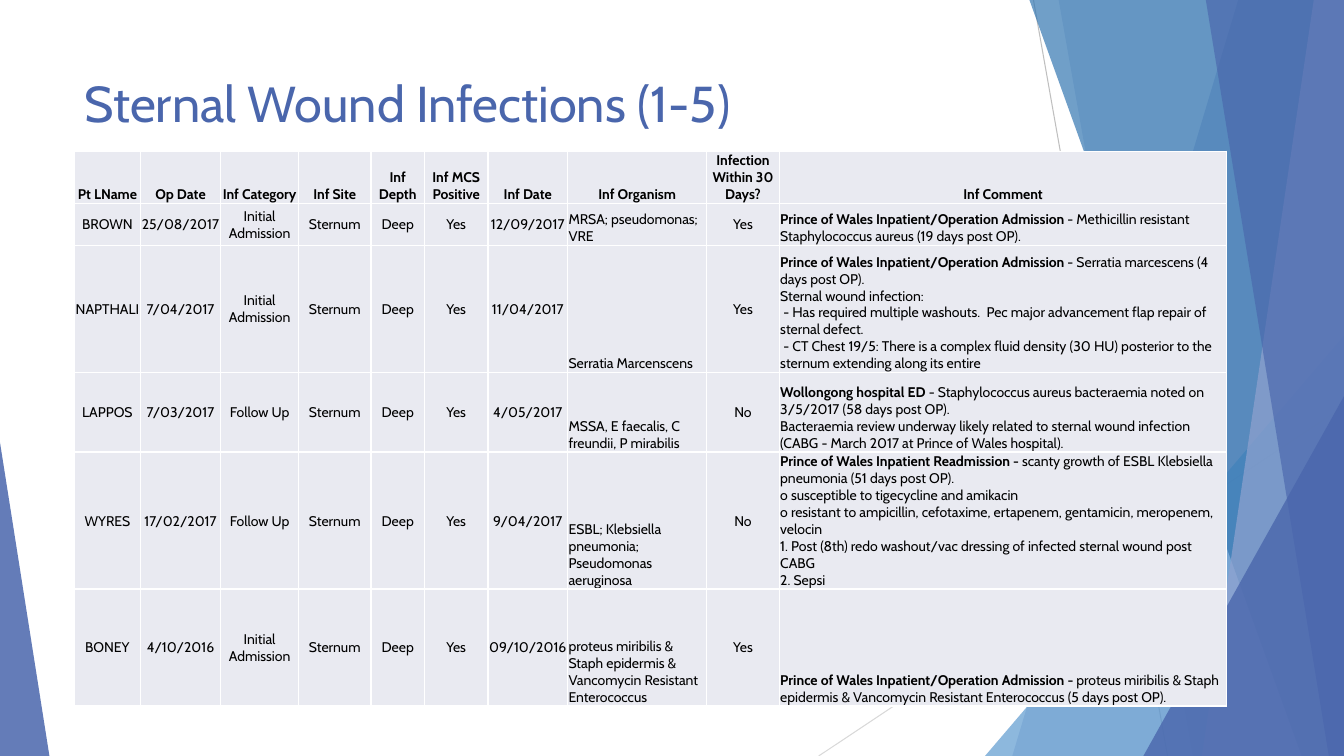
from dataclasses import dataclass

from lxml import etree
from pptx import Presentation
from pptx.dml.color import RGBColor
from pptx.enum.shapes import MSO_CONNECTOR, MSO_SHAPE
from pptx.enum.text import MSO_ANCHOR, MSO_AUTO_SIZE, PP_ALIGN
from pptx.oxml.ns import qn
from pptx.util import Inches, Pt

STRAIGHT = MSO_CONNECTOR.STRAIGHT
TRIANGLE = MSO_SHAPE.ISOSCELES_TRIANGLE
TOP, MIDDLE, BOTTOM = MSO_ANCHOR.TOP, MSO_ANCHOR.MIDDLE, MSO_ANCHOR.BOTTOM
LEFT, CENTER = PP_ALIGN.LEFT, PP_ALIGN.CENTER
NO_AUTOFIT = MSO_AUTO_SIZE.NONE
WIDTH, HEIGHT = 13.33, 7.5


@dataclass(frozen=True)
class Theme:
    font: str = "Cabin"
    title_size: float = 36
    table_size: float = 10
    hairline: float = 0.75
    border: float = 1
    indigo: str = "4A66AC"
    sky: str = "629DD1"
    ocean: str = "3477B2"
    lavender: str = "90A2CF"
    grey: str = "BFBFBF"
    pale_grey: str = "D9D9D9"
    cell: str = "E9EAF1"
    white: str = "FFFFFF"
    ink: str = "000000"


THEME = Theme()

RAYS = [
    ((10.25, 0), (11.58, HEIGHT), THEME.grey),
    ((WIDTH, 4.03), (8.12, HEIGHT), THEME.pale_grey),
]
BACK_FACETS = [(12.28, 10.04, THEME.indigo, 30), (10.5, 11.83, THEME.indigo, 20)]
FRONT_FACETS = [
    (10.21, 12.91, THEME.ocean, 70),
    (13.03, 11.92, THEME.lavender, 70),
    (11.96, 13.18, THEME.indigo, 65),
]
BACK_CORNERS = [(9.77, 3.56, 4.17, 1, THEME.sky, 72)]
FRONT_CORNERS = [
    (11.34, 1.99, 3.57, 1, THEME.indigo, 80),
    (0, 0.49, 3.11, 0, THEME.indigo, 85),
]

COLUMN_WIDTHS = [0.65, 0.8, 0.77, 0.72, 0.53, 0.63, 0.79, 1.38, 0.72, 4.44]
ROW_HEIGHTS = [0.48, 0.42, 1.26, 0.79, 1.26, 1.16]
HEADERS = [
    "Pt LName", "Op Date", "Inf Category", "Inf Site", "Inf Depth", "Inf MCS Positive",
    "Inf Date", "Inf Organism", "Infection Within 30 Days?", "Inf Comment",
]
NAME_COLUMN = HEADERS.index("Pt LName")
PROSE_COLUMNS = {HEADERS.index("Inf Organism"), HEADERS.index("Inf Comment")}
SITE, DEPTH, MCS_POSITIVE = "Sternum", "Deep", "Yes"
PATIENTS = [
    ("BROWN", "25/08/2017", "Initial Admission", "12/09/2017",
     "MRSA; pseudomonas; VRE", "Yes",
     [[("Prince of Wales Inpatient/Operation Admission", True),
       (" - Methicillin resistant Staphylococcus aureus (19 days post OP).", False)]]),
    ("NAPTHALI", "7/04/2017", "Initial Admission", "11/04/2017",
     "Serratia Marcenscens", "Yes",
     [[("Prince of Wales Inpatient/Operation Admission ", True),
       ("- Serratia marcescens (4 days post OP).", False)],
      [("Sternal wound infection:\n"
        " - Has required multiple washouts.  Pec major advancement flap repair of "
        "sternal defect.\n"
        " - CT Chest 19/5: There is a complex fluid density (30 HU) posterior to the "
        "sternum extending along its entire", False)]]),
    ("LAPPOS", "7/03/2017", "Follow Up", "4/05/2017",
     "MSSA, E faecalis, C freundii, P mirabilis", "No",
     [[("Wollongong hospital ED", True),
       (" - Staphylococcus aureus bacteraemia noted on 3/5/2017 (58 days post OP).\n"
        "Bacteraemia review underway likely related to sternal wound infection "
        "(CABG - March 2017 at Prince of Wales hospital).", False)]]),
    ("WYRES", "17/02/2017", "Follow Up", "9/04/2017",
     "ESBL; Klebsiella pneumonia; Pseudomonas aeruginosa", "No",
     [[("Prince of Wales Inpatient Readmission - ", True),
       ("scanty growth of ESBL Klebsiella pneumonia (51 days post OP).\n"
        "o susceptible to tigecycline and amikacin \n"
        "o resistant to ampicillin, cefotaxime, ertapenem, gentamicin, meropenem, "
        "velocin\n"
        "1. Post (8th) redo washout/vac dressing of infected sternal wound post CABG \n"
        "2. Sepsi", False)]]),
    ("BONEY", "4/10/2016", "Initial Admission", "09/10/2016 ",
     "proteus miribilis & Staph epidermis & Vancomycin Resistant Enterococcus", "Yes",
     [[("Prince of Wales Inpatient/Operation Admission - ", True),
       ("proteus miribilis & Staph epidermis & Vancomycin Resistant Enterococcus "
        "(5 days post OP).", False)]]),
]


def apply(target, values):
    for attribute, value in values.items():
        setattr(target, attribute, value)


def plain(text, bold=False):
    return [[(text, bold)]]


class SlideBuilder:
    def __init__(self, slide, theme):
        self.slide = slide
        self.theme = theme

    def style_font(self, font, size, color, bold=False):
        apply(font, {"name": self.theme.font, "size": Pt(size), "bold": bold})
        font.color.rgb = RGBColor.from_string(color)

    def title(self, text, left, top, width, height):
        heading = self.slide.shapes.title
        apply(heading, {"left": Inches(left), "top": Inches(top),
                        "width": Inches(width), "height": Inches(height)})
        frame = heading.text_frame
        apply(frame, {"text": text, "vertical_anchor": TOP, "word_wrap": True,
                      "auto_size": NO_AUTOFIT})
        frame.paragraphs[0].alignment = LEFT
        self.style_font(frame.paragraphs[0].runs[0].font, self.theme.title_size,
                        self.theme.indigo)

    def ray(self, start, end, color):
        line = self.slide.shapes.add_connector(
            STRAIGHT, *(Inches(value) for value in (*start, *end)))
        line.line.color.rgb = RGBColor.from_string(color)
        line.line.width = Pt(self.theme.hairline)
        etree.SubElement(line._element.spPr, qn("a:effectLst"))

    def tint(self, shape, color, opacity):
        shape.shadow.inherit = False
        shape.line.fill.background()
        shape.fill.solid()
        shape.fill.fore_color.rgb = RGBColor.from_string(color)
        swatch = shape._element.spPr.find(".//" + qn("a:srgbClr"))
        etree.SubElement(swatch, qn("a:alpha"), val=str(opacity * 1000))

    def facet(self, top_x, bottom_x, color, opacity):
        outline = self.slide.shapes.build_freeform(Inches(top_x), 0)
        corners = [(WIDTH, 0), (WIDTH, HEIGHT), (bottom_x, HEIGHT)]
        outline.add_line_segments([(Inches(x), Inches(y)) for x, y in corners])
        self.tint(outline.convert_to_shape(), color, opacity)

    def corner(self, left, width, height, apex, color, opacity):
        shape = self.slide.shapes.add_shape(
            TRIANGLE, Inches(left), Inches(HEIGHT - height), Inches(width), Inches(height))
        shape.adjustments[0] = apex
        self.tint(shape, color, opacity)

    def cell(self, cell, paragraphs, anchor, alignment, side_inset):
        side = Inches(side_inset)
        apply(cell, {"vertical_anchor": anchor, "margin_left": side, "margin_right": side,
                     "margin_top": Inches(0.01), "margin_bottom": 0})
        cell.fill.solid()
        cell.fill.fore_color.rgb = RGBColor.from_string(self.theme.cell)
        properties = cell._tc.get_or_add_tcPr()
        for position, edge in enumerate(("lnL", "lnR", "lnT", "lnB")):
            border = etree.Element(qn("a:" + edge), w=str(Pt(self.theme.border)))
            fill = etree.SubElement(border, qn("a:solidFill"))
            etree.SubElement(fill, qn("a:srgbClr"), val=self.theme.white)
            properties.insert(position, border)
        frame = cell.text_frame
        for number, runs in enumerate(paragraphs):
            paragraph = frame.add_paragraph() if number else frame.paragraphs[0]
            paragraph.alignment = alignment
            for text, bold in runs:
                for line_number, line in enumerate(text.split("\n")):
                    if line_number:
                        paragraph.add_line_break()
                    run = paragraph.add_run()
                    run.text = line
                    self.style_font(run.font, self.theme.table_size, self.theme.ink, bold)

    def table(self, left, top, rows):
        table = self.slide.shapes.add_table(
            len(ROW_HEIGHTS), len(COLUMN_WIDTHS), Inches(left), Inches(top),
            Inches(sum(COLUMN_WIDTHS)), Inches(sum(ROW_HEIGHTS))).table
        apply(table, {"first_row": False, "horz_banding": False})
        for column, width in zip(table.columns, COLUMN_WIDTHS):
            column.width = Inches(width)
        for row, height in zip(table.rows, ROW_HEIGHTS):
            row.height = Inches(height)
        for r, contents in enumerate(rows):
            for c, paragraphs in enumerate(contents):
                prose = r > 0 and c in PROSE_COLUMNS
                anchor = BOTTOM if prose or r == 0 else MIDDLE
                self.cell(table.cell(r, c), paragraphs, anchor, LEFT if prose else CENTER,
                          0 if c == NAME_COLUMN else 0.01)


def main():
    deck = Presentation()
    apply(deck, {"slide_width": Inches(WIDTH), "slide_height": Inches(HEIGHT)})
    builder = SlideBuilder(deck.slides.add_slide(deck.slide_layouts[5]), THEME)
    for draw, items in (
        (builder.ray, RAYS), (builder.facet, BACK_FACETS), (builder.corner, BACK_CORNERS),
        (builder.facet, FRONT_FACETS), (builder.corner, FRONT_CORNERS),
    ):
        for item in items:
            draw(*item)
    builder.title("Sternal Wound Infections (1-5)", 0.74, 0.67, 9.4, 1.44)
    rows = [[plain(header, True) for header in HEADERS]]
    for name, operated, category, infected, organism, within_30, comment in PATIENTS:
        values = (name, operated, category, SITE, DEPTH, MCS_POSITIVE, infected, organism,
                  within_30)
        rows.append([plain(value) for value in values] + [comment])
    builder.table(0.74, 1.5, rows)
    deck.save("out.pptx")


if __name__ == "__main__":
    main()
